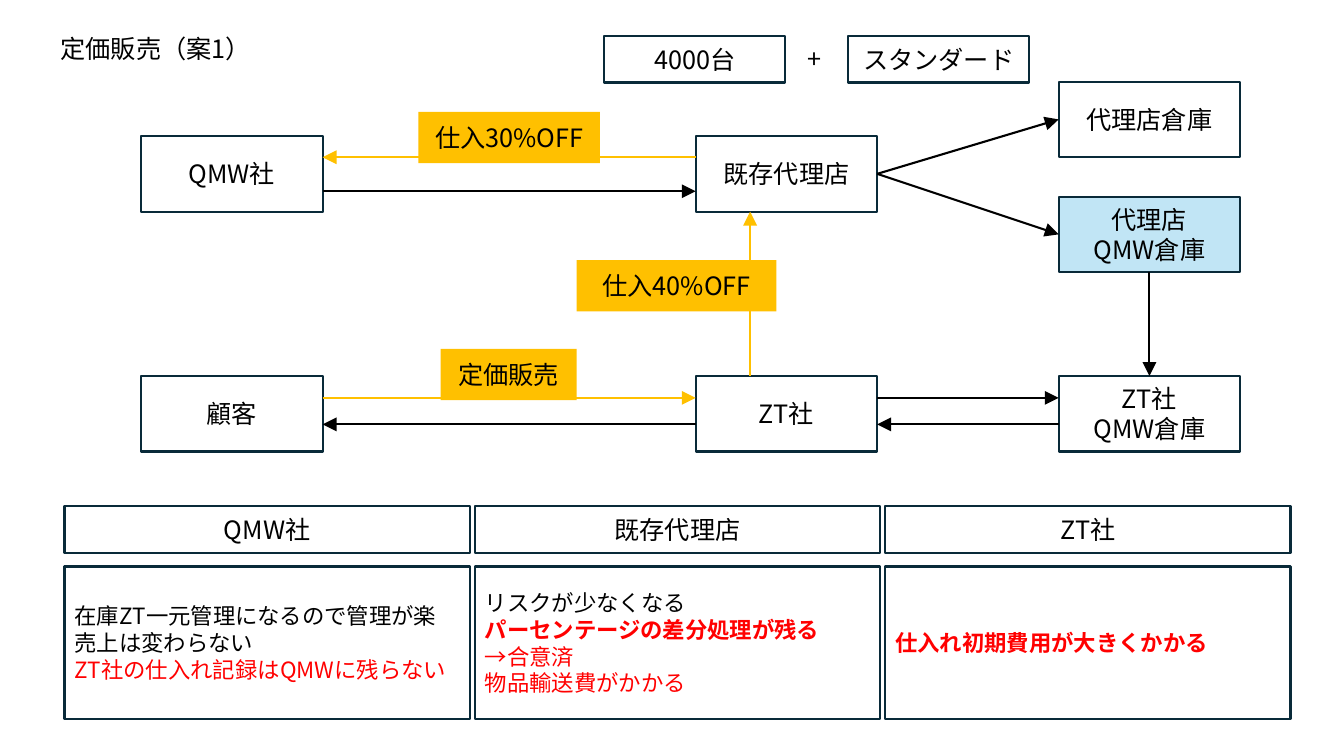
from lxml import etree
from pptx import Presentation
from pptx.dml.color import RGBColor
from pptx.enum.shapes import MSO_CONNECTOR, MSO_SHAPE
from pptx.enum.text import MSO_ANCHOR, MSO_AUTO_SIZE, PP_ALIGN
from pptx.oxml.ns import qn
from pptx.util import Inches, Pt

RECT = MSO_SHAPE.RECTANGLE
LINE = MSO_CONNECTOR.STRAIGHT
MIDDLE = MSO_ANCHOR.MIDDLE
FIXED = MSO_AUTO_SIZE.NONE
LEFT, CENTER = PP_ALIGN.LEFT, PP_ALIGN.CENTER

WHITE = RGBColor(0xFF, 0xFF, 0xFF)
BLACK = RGBColor(0, 0, 0)
NAVY = RGBColor(0x09, 0x2A, 0x39)
GOLD = RGBColor(0xFF, 0xC0, 0x00)
SKY = RGBColor(0xC1, 0xE5, 0xF5)
RED = RGBColor(0xFF, 0, 0)

FONT = "Noto Sans CJK JP"
WIDE, HIGH = 13.33, 7.5
NODE = (1.8, 0.75)

NODES = {
    "maker": (0, 0, ["QMW社"], WHITE),
    "agent": (5.5, 0, ["既存代理店"], WHITE),
    "client": (0, 2.38, ["顧客"], WHITE),
    "trader": (5.5, 2.38, ["ZT社"], WHITE),
    "depot": (9.1, -0.54, ["代理店倉庫"], WHITE),
    "shared": (9.1, 0.6, ["代理店", "QMW倉庫"], SKY),
    "store": (9.1, 2.38, ["ZT社", "QMW倉庫"], WHITE),
}
LINKS = [
    ("agent", 0, 0.28, "maker", 1, 0.28, GOLD),
    ("maker", 1, 0.73, "agent", 0, 0.73, BLACK),
    ("agent", 1, 0.5, "depot", 0, 0.5, BLACK),
    ("agent", 1, 0.5, "shared", 0, 0.5, BLACK),
    ("trader", 1, 0.29, "store", 0, 0.29, BLACK),
    ("trader", 0.3, 0, "agent", 0.3, 1, GOLD),
    ("shared", 0.5, 1, "store", 0.5, 0, BLACK),
    ("client", 1, 0.29, "trader", 0, 0.29, GOLD),
    ("store", 0, 0.64, "trader", 1, 0.64, BLACK),
    ("trader", 0, 0.64, "client", 1, 0.64, BLACK),
]
TAGS = [
    (2.97, 2.11, 1.35, "定価販売"),
    (2.75, -0.24, 1.8, "仕入30%OFF"),
    (4.32, 1.23, 1.98, "仕入40%OFF"),
]
NOTES = [
    ("QMW社", [
        ("在庫ZT一元管理になるので管理が楽", BLACK, False),
        ("売上は変わらない", BLACK, False),
        ("ZT社の仕入れ記録はQMWに残らない", RED, False),
    ]),
    ("既存代理店", [
        ("リスクが少なくなる", BLACK, False),
        ("パーセンテージの差分処理が残る", RED, True),
        ("→合意済", RED, False),
        ("物品輸送費がかかる", RED, False),
    ]),
    ("ZT社", [("仕入れ初期費用が大きくかかる", RED, True)]),
]


def plain(*texts):
    return [(text, BLACK, False) for text in texts]


def write(shape, lines, size=18, align=CENTER):
    frame = shape.text_frame
    frame.word_wrap = True
    frame.auto_size = FIXED
    frame.vertical_anchor = MIDDLE
    for i, (text, color, bold) in enumerate(lines):
        para = frame.paragraphs[0] if i == 0 else frame.add_paragraph()
        para.alignment = align
        run = para.add_run()
        run.text = text
        font = run.font
        font.name, font.size, font.bold = FONT, Pt(size), bold
        font.color.rgb = color
        east = etree.SubElement(run._r.get_or_add_rPr(), qn("a:ea"))
        east.set("typeface", FONT)


def put(shapes, box, lines, fill=WHITE, edge=NAVY, size=18, align=CENTER):
    shape = shapes.add_shape(RECT, *[Inches(v) for v in box])
    shape.shadow.inherit = False
    shape.fill.solid()
    shape.fill.fore_color.rgb = fill
    if edge is None:
        shape.line.fill.background()
    else:
        shape.line.color.rgb = edge
        shape.line.width = Pt(1.5)
    write(shape, lines, size, align)


def link(shapes, start, end, color):
    line = shapes.add_connector(LINE, *[Inches(v) for v in start + end])
    line.line.color.rgb = color
    line.line.width = Pt(1.5)
    tail = etree.SubElement(line.line._get_or_add_ln(), qn("a:tailEnd"))
    for key, value in (("type", "triangle"), ("w", "lg"), ("len", "lg")):
        tail.set(key, value)
    etree.SubElement(line._element.spPr, qn("a:effectLst"))


def head(slide, box):
    x, y, w, h = box
    title = slide.shapes.title
    title.left, title.top = Inches(x), Inches(y)
    title.width, title.height = Inches(w), Inches(h)
    write(title, plain("定価販売（案1）"), align=LEFT)


def offer(shapes, box):
    x, y, w, h = box
    wide = NODE[0]
    put(shapes, (x, y, wide, h), plain("4000台"))
    put(shapes, (x + w - wide, y, wide, h), plain("スタンダード"))
    put(shapes, (x + 1.85, y - 0.05, 0.48, 0.54), plain("+"), edge=None)


def flow(shapes, left, top):
    def spot(name, across, down):
        x, y = NODES[name][:2]
        return left + x + across * NODE[0], top + y + down * NODE[1]

    for name, (x, y, texts, fill) in NODES.items():
        put(shapes, spot(name, 0, 0) + NODE, plain(*texts), fill)
    for a, ax, ay, b, bx, by, color in LINKS:
        link(shapes, spot(a, ax, ay), spot(b, bx, by), color)
    for x, y, w, text in TAGS:
        put(shapes, (left + x, top + y, w, 0.51), plain(text), GOLD, None)


def notes(shapes, box):
    x, y, w, h = box
    gap, top, body = 0.05, 0.47, 1.51
    wide = (w - gap * (len(NOTES) - 1)) / len(NOTES)
    heads = shapes.add_group_shape().shapes
    cells = shapes.add_group_shape().shapes
    for i, (name, lines) in enumerate(NOTES):
        col = x + i * (wide + gap)
        put(heads, (col, y, wide, top), plain(name))
        put(cells, (col, y + h - body, wide, body), lines, size=16, align=LEFT)


def main():
    deck = Presentation()
    deck.slide_width, deck.slide_height = Inches(WIDE), Inches(HIGH)
    slide = deck.slides.add_slide(deck.slide_layouts[5])
    head(slide, (0.5, 0.21, 3.7, 0.55))
    flow(slide.shapes, 1.4, 1.35)
    notes(slide.shapes, (0.64, 5.02, 12.16, 2.11))
    offer(slide.shapes, (5.99, 0.36, 4.22, 0.46))
    deck.save("out.pptx")


if __name__ == "__main__":
    main()
